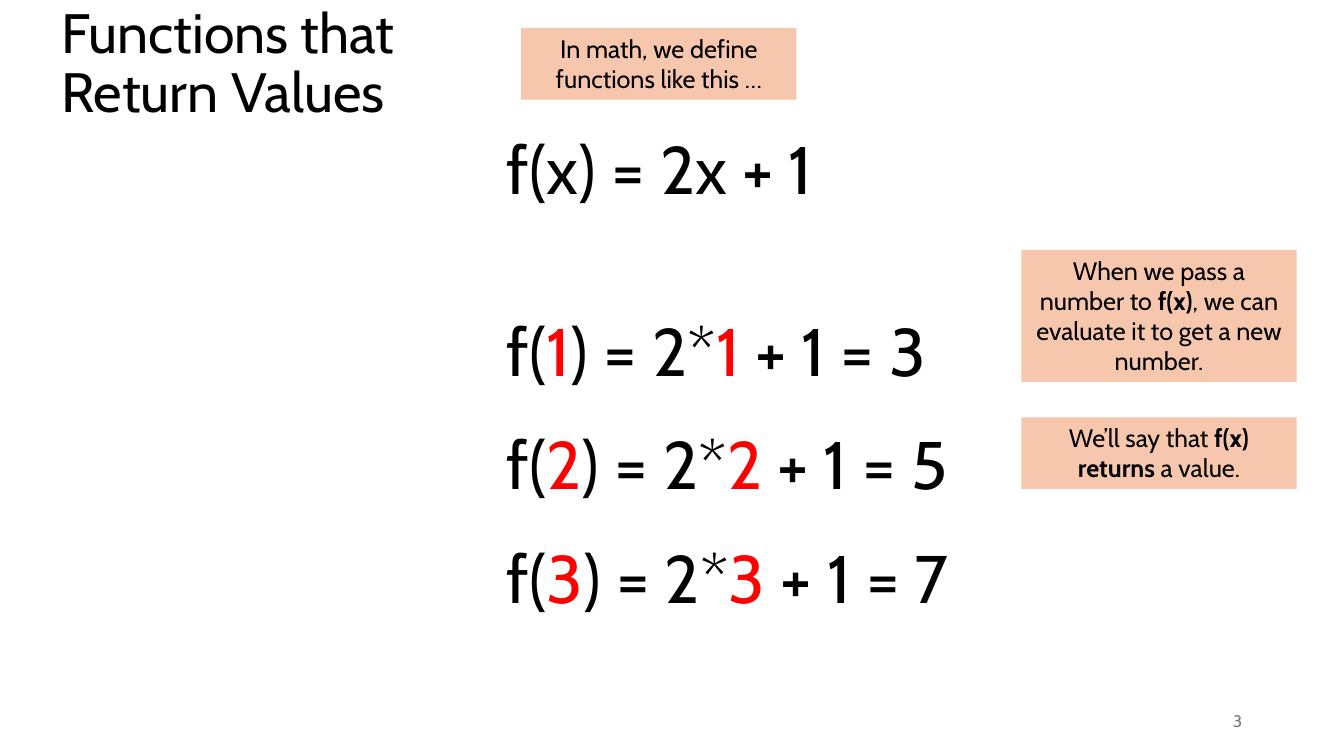
from dataclasses import dataclass

from pptx import Presentation
from pptx.dml.color import RGBColor
from pptx.enum.shapes import MSO_SHAPE
from pptx.enum.text import MSO_ANCHOR, MSO_AUTO_SIZE, PP_ALIGN
from pptx.util import Inches, Pt

LEFT, CENTER, RIGHT = PP_ALIGN.LEFT, PP_ALIGN.CENTER, PP_ALIGN.RIGHT
TOP, MIDDLE = MSO_ANCHOR.TOP, MSO_ANCHOR.MIDDLE
FIT_SHAPE, NO_FIT = MSO_AUTO_SIZE.SHAPE_TO_FIT_TEXT, MSO_AUTO_SIZE.NONE
RECTANGLE = MSO_SHAPE.RECTANGLE


@dataclass(frozen=True)
class Theme:
    font: str = "Cabin"
    ink: str = "000000"
    argument: str = "FF0000"
    note_fill: str = "F6C6AD"
    muted: str = "797979"
    title_size: float = 39.6
    formula_size: int = 48
    note_size: int = 18
    number_size: int = 12


theme = Theme()


def write(box, spans, size, align=LEFT, **frame_format):
    """Fill a shape with one paragraph of (text, font format) spans."""
    frame = box.text_frame
    settings = {"word_wrap": True, "auto_size": FIT_SHAPE, "vertical_anchor": TOP}
    for name, value in (settings | frame_format).items():
        setattr(frame, name, value)
    para = frame.paragraphs[0]
    para.alignment = align
    for text, changes in spans:
        span = para.add_run()
        span.text = text
        look = {"name": theme.font, "size": Pt(size), "bold": False} | changes
        color = look.pop("color", theme.ink)
        for name, value in look.items():
            setattr(span.font, name, value)
        span.font.color.rgb = RGBColor.from_string(color)
    return para


deck = Presentation()
deck.slide_width, deck.slide_height = Inches(13.33), Inches(7.5)
page = deck.slides.add_slide(deck.slide_layouts[5])

# Title, raised within its box by a deep bottom margin
title = page.shapes.title
title.left, title.top = Inches(0.51), Inches(0.22)
title.width, title.height = Inches(4.23), Inches(1.45)
heading = write(title, [("Functions that", {})], theme.title_size,
                auto_size=NO_FIT, vertical_anchor=MIDDLE,
                margin_bottom=Inches(0.65))
heading.line_spacing = 0.9
heading.add_line_break()
second_line = heading.add_run()
second_line.text = "Return Values"
second_line.font.name = theme.font
second_line.font.size = Pt(theme.title_size)
second_line.font.color.rgb = RGBColor.from_string(theme.ink)

# Slide number
number = page.shapes.add_textbox(Inches(9.42), Inches(6.95), Inches(3), Inches(0.4))
write(number, [("3", {"color": theme.muted})], theme.number_size, RIGHT,
      auto_size=NO_FIT, vertical_anchor=MIDDLE)

# Definition, then its value for 1, 2 and 3
formulas = [(1.21, 3.38, [("f(x) = 2x + 1", {})])]
red = {"color": theme.argument}
for x in (1, 2, 3):
    formulas.append((3.02 + 1.125 * (x - 1), 4.81, [
        ("f(", {}), (str(x), red), (") = 2*", {}), (str(x), red),
        (f" + 1 = {2 * x + 1}", {})]))
for top, width, spans in formulas:
    formula = page.shapes.add_textbox(Inches(4.93), Inches(top), Inches(width), Inches(0.91))
    write(formula, spans, theme.formula_size, word_wrap=False)

# Notes
bold = {"bold": True}
notes = [
    (5.17, 0.28, 0.71, [("In math, we define functions like this …", {})]),
    (10.13, 2.48, 1.31, [("When we pass a number to ", {}), ("f(x)", bold),
                         (", we can evaluate it to get a new number.", {})]),
    (10.13, 4.14, 0.71, [("We’ll say that ", {}), ("f(x) returns", bold),
                         (" a value.", {})]),
]
for left, top, height, spans in notes:
    note = page.shapes.add_shape(RECTANGLE, Inches(left), Inches(top),
                                 Inches(2.73), Inches(height))
    note.shadow.inherit = False
    note.fill.solid()
    note.fill.fore_color.rgb = RGBColor.from_string(theme.note_fill)
    note.line.fill.background()
    write(note, spans, theme.note_size, CENTER)

deck.save("out.pptx")
